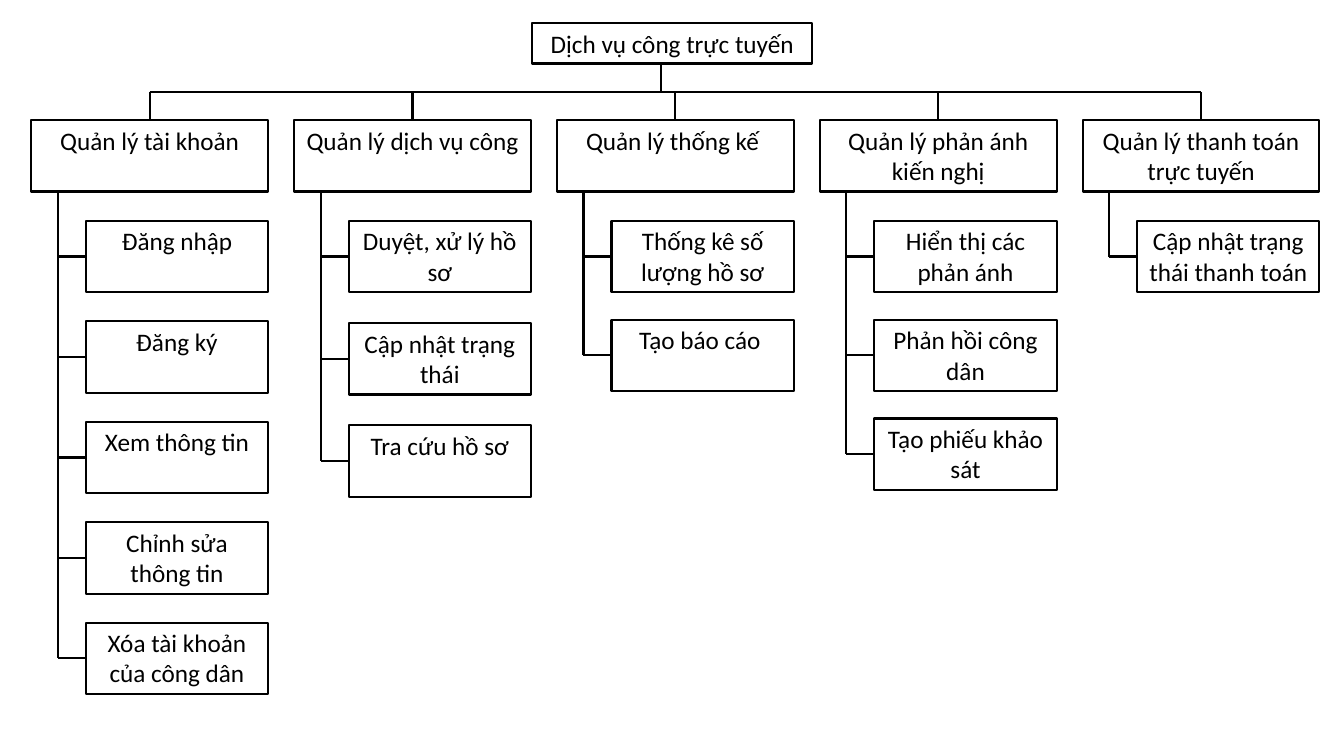
from pptx import Presentation
from pptx.dml.color import RGBColor
from pptx.enum.shapes import MSO_CONNECTOR, MSO_SHAPE
from pptx.enum.text import MSO_ANCHOR, PP_ALIGN
from pptx.oxml.ns import qn
from pptx.util import Pt
from lxml import etree

RECT = MSO_SHAPE.RECTANGLE
STRAIGHT = MSO_CONNECTOR.STRAIGHT
TOP, CENTER = MSO_ANCHOR.TOP, PP_ALIGN.CENTER
SITE_TOP, SITE_LEFT = 0, 1
BLACK, WHITE = RGBColor.from_string("000000"), RGBColor.from_string("FFFFFF")

# Layout in points
ROOT_X, ROOT_Y, ROOT_W, ROOT_H = 380.2, 16.6, 200, 28.8
ROOT_DROP_X, BUS_Y = 472.3, 65.9
GROUP_X, GROUP_Y, GROUP_W, GROUP_PITCH = 22.3, 85.7, 169.2, 187.75
BOX_H = 51.1
ITEM_Y, ITEM_W = 157.7, 130.2
TRUNK_INSET = 19

# Group title, vertical pitch of its items, items
GROUPS = [
    ("Quản lý tài khoản", 71.75,
     ["Đăng nhập", "Đăng ký", "Xem thông tin", "Chỉnh sửa thông tin",
      "Xóa tài khoản của công dân"]),
    ("Quản lý dịch vụ công", 73,
     ["Duyệt, xử lý hồ sơ", "Cập nhật trạng thái", "Tra cứu hồ sơ"]),
    ("Quản lý thống kế ", 70.6,
     ["Thống kê số lượng hồ sơ", "Tạo báo cáo "]),
    ("Quản lý phản ánh kiến nghị", 70.6,
     ["Hiển thị các phản ánh", "Phản hồi công dân", "Tạo phiếu khảo sát"]),
    ("Quản lý thanh toán trực tuyến", 70.6,
     ["Cập nhật trạng thái thanh toán"]),
]

prs = Presentation()
prs.slide_width, prs.slide_height = Pt(960), Pt(540)
s = prs.slides.add_slide(prs.slide_layouts[6])


def add_box(x, y, w, h, text):
    sp = s.shapes.add_shape(RECT, Pt(x), Pt(y), Pt(w), Pt(h))
    sp.shadow.inherit = False
    sp.fill.solid()
    sp.fill.fore_color.rgb = WHITE
    sp.line.color.rgb = BLACK
    sp.line.width = Pt(1.5)
    tf = sp.text_frame
    tf.word_wrap = True
    tf.vertical_anchor = TOP
    p = tf.paragraphs[0]
    p.alignment = CENTER
    r = p.add_run()
    r.text = text
    r.font.name = "Calibri"
    r.font.size = Pt(18)
    r.font.color.rgb = BLACK
    return sp


def add_line(x1, y1, x2, y2):
    cn = s.shapes.add_connector(STRAIGHT, Pt(x1), Pt(y1), Pt(x2), Pt(y2))
    cn.line.color.rgb = BLACK
    cn.line.width = Pt(1.5)
    etree.SubElement(cn._element.spPr, qn("a:effectLst"))
    return cn


# Root, its drop and the horizontal bus
add_box(ROOT_X, ROOT_Y, ROOT_W, ROOT_H, "Dịch vụ công trực tuyến")
add_line(ROOT_DROP_X, ROOT_Y + ROOT_H, ROOT_DROP_X, BUS_Y)
first_mid = GROUP_X + GROUP_W / 2
add_line(first_mid, BUS_Y, first_mid + (len(GROUPS) - 1) * GROUP_PITCH, BUS_Y)

for i, (title, pitch, items) in enumerate(GROUPS):
    # Group box hanging from the bus
    x = GROUP_X + i * GROUP_PITCH
    mid = x + GROUP_W / 2
    group = add_box(x, GROUP_Y, GROUP_W, BOX_H, title)
    add_line(mid, BUS_Y, mid, GROUP_Y).end_connect(group, SITE_TOP)

    # Items aligned to the right edge of the group, each with a branch
    trunk_x = x + TRUNK_INSET
    item_x = x + GROUP_W - ITEM_W
    for j, text in enumerate(items):
        y = ITEM_Y + j * pitch
        branch_y = y + BOX_H / 2
        item = add_box(item_x, y, ITEM_W, BOX_H, text)
        add_line(trunk_x, branch_y, item_x, branch_y).end_connect(item, SITE_LEFT)

    # Trunk down to the last branch
    add_line(trunk_x, GROUP_Y + BOX_H, trunk_x, branch_y)

prs.save("out.pptx")
